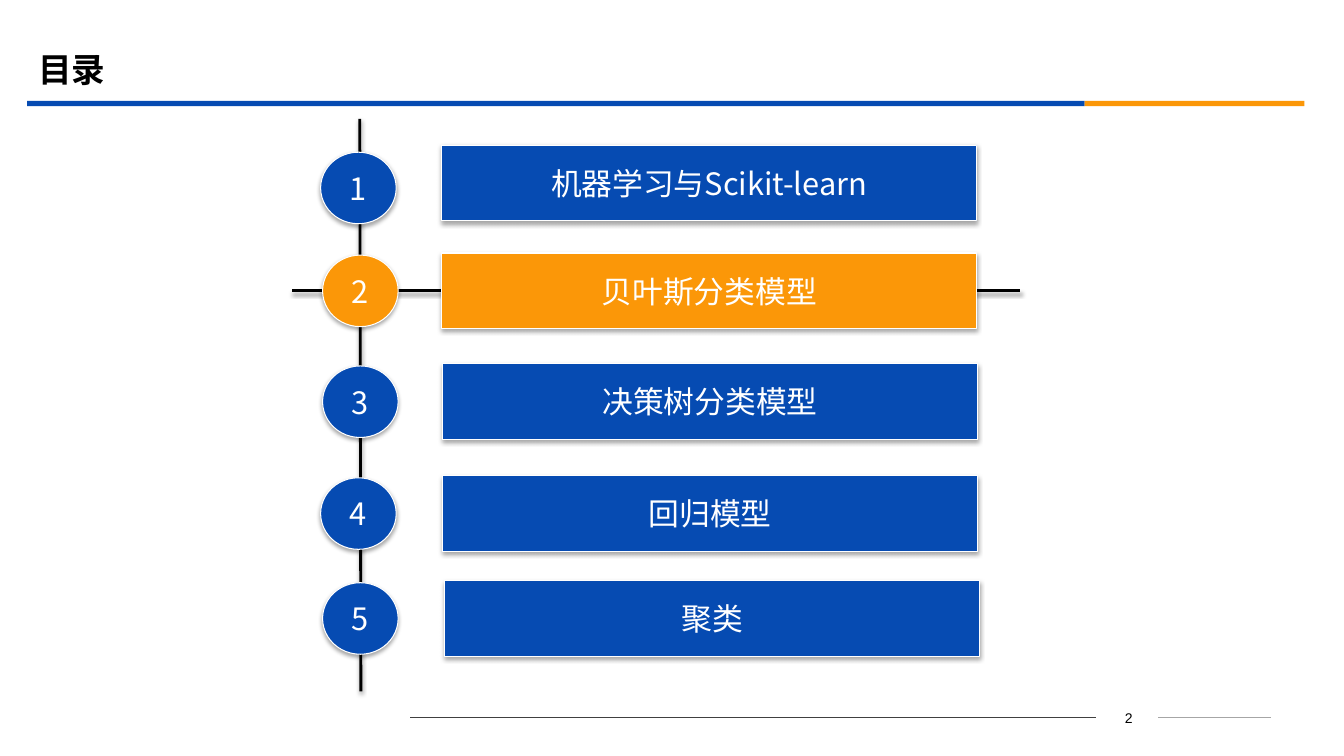
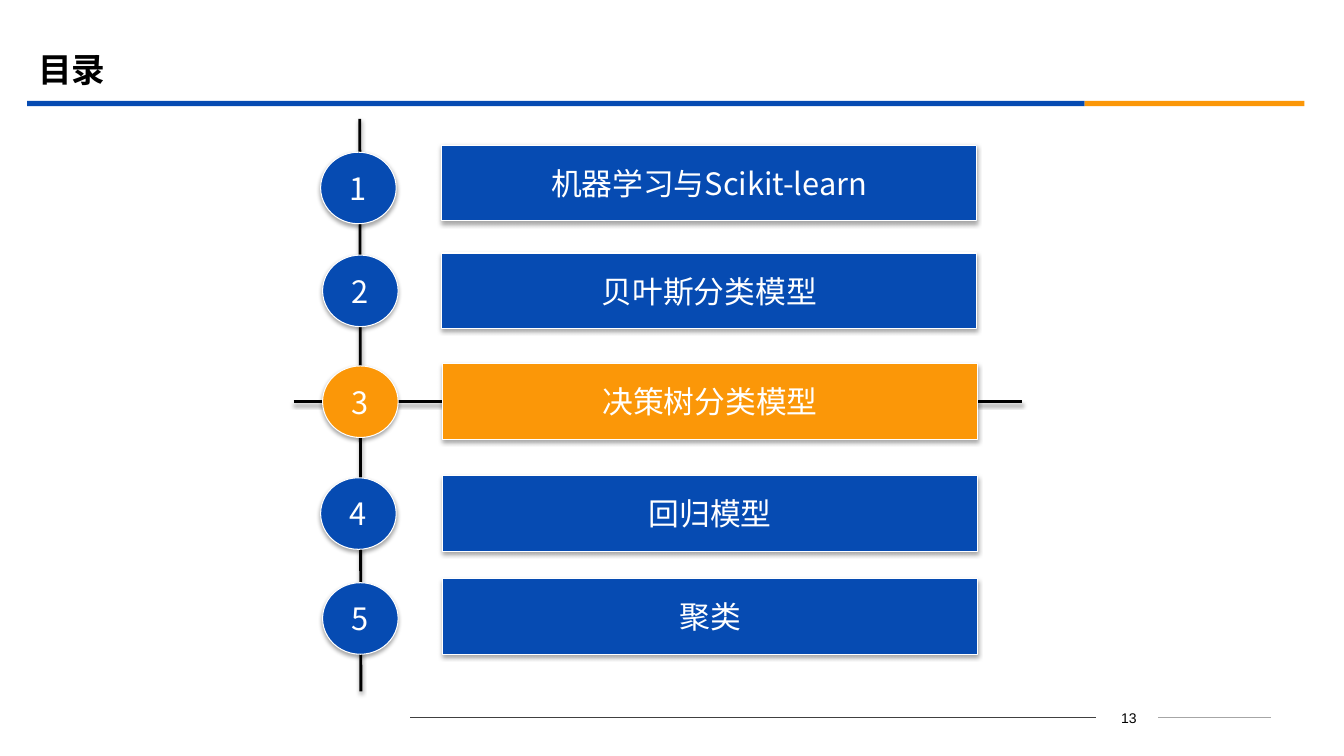
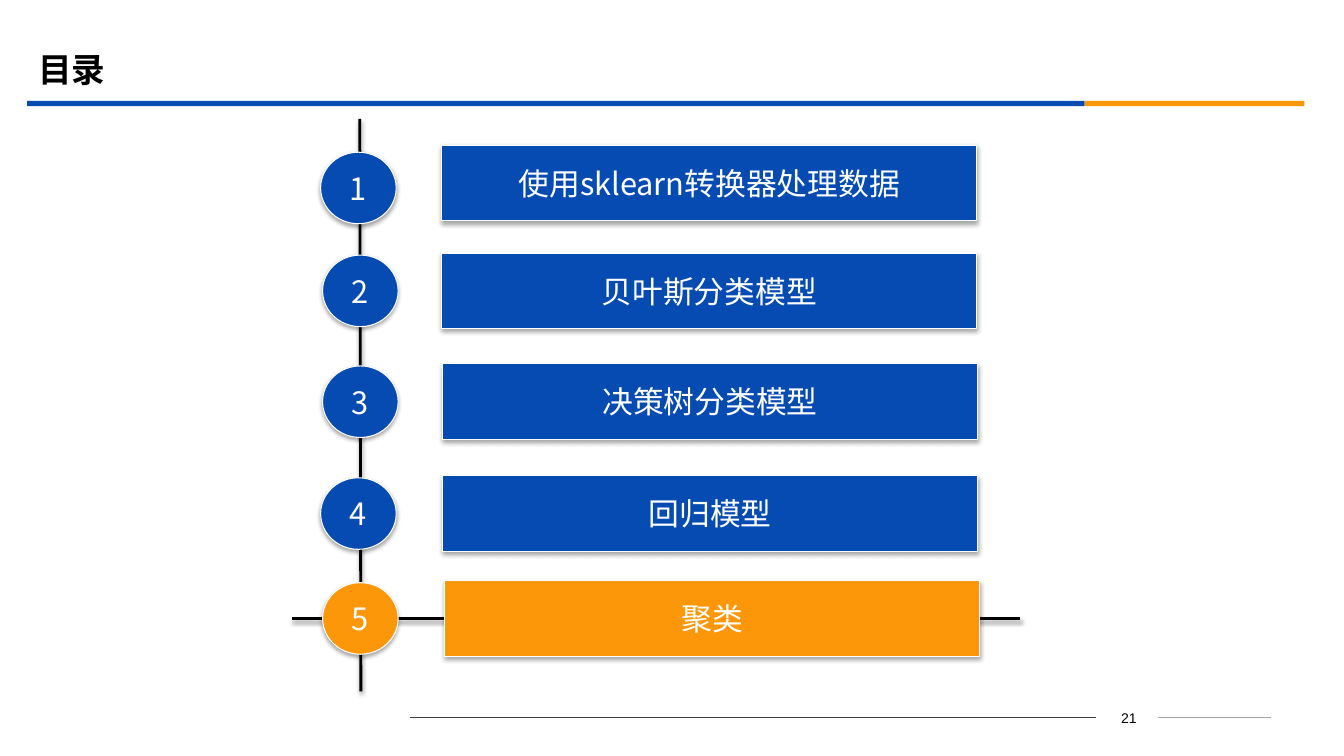
from lxml import etree
from pptx import Presentation
from pptx.dml.color import RGBColor
from pptx.enum.shapes import MSO_CONNECTOR, MSO_SHAPE
from pptx.enum.text import MSO_ANCHOR, PP_ALIGN
from pptx.oxml.ns import qn
from pptx.util import Pt

STRAIGHT = MSO_CONNECTOR.STRAIGHT
RECTANGLE = MSO_SHAPE.RECTANGLE
OVAL = MSO_SHAPE.OVAL
BUTTON = MSO_SHAPE.ACTION_BUTTON_CUSTOM
CENTER = PP_ALIGN.CENTER
LEFT = PP_ALIGN.LEFT
MIDDLE = MSO_ANCHOR.MIDDLE

BLUE = RGBColor(0x06, 0x4B, 0xB2)
ORANGE = RGBColor(0xFB, 0x97, 0x08)
BLACK = RGBColor(0, 0, 0)
WHITE = RGBColor(0xFF, 0xFF, 0xFF)
DARK_GREY = RGBColor(0x40, 0x40, 0x40)
LIGHT_GREY = RGBColor(0xA6, 0xA6, 0xA6)
CJK_FONT = "Noto Sans CJK SC"

BADGE_WIDTH, BADGE_HEIGHT = 54, 51.1
BUTTON_WIDTH, BUTTON_HEIGHT = 382.3, 54
BADGE_LEFTS = [229, 230.4, 230.4, 229, 230.4]
BADGE_TOPS = [108.7, 182.2, 261.4, 341.3, 416.2]
BUTTON_SPOTS = [(315.4, 103.7), (315.4, 180.7), (316.1, 259.9), (316.1, 339.8)]
TOPICS = ["贝叶斯分类模型", "决策树分类模型", "回归模型", "聚类"]

AGENDAS = [
    (2, "机器学习与Scikit-learn", 2, 208.8, (317.5, 414.7)),
    (13, "机器学习与Scikit-learn", 3, 209.8, (316.1, 413.3)),
    (21, "使用sklearn转换器处理数据", 5, 208.8, (317.5, 414.7)),
]


def set_shadow(item, distance=0, opacity=0):
    effects = etree.SubElement(item._element.spPr, qn("a:effectLst"))
    if opacity:
        shadow = etree.SubElement(
            effects, qn("a:outerShdw"), blurRad=str(Pt(3.1)), dist=str(Pt(distance)),
            dir="5400000", rotWithShape="0")
        color = etree.SubElement(shadow, qn("a:srgbClr"), val=str(BLACK))
        etree.SubElement(color, qn("a:alpha"), val=str(opacity * 1000))


def write(frame, text, size, color, font, align=CENTER, bold=False):
    frame.vertical_anchor = MIDDLE
    paragraph = frame.paragraphs[0]
    paragraph.alignment = align
    run = paragraph.add_run()
    run.text = text
    run.font.size = Pt(size)
    run.font.bold = bold
    run.font.name = font
    run.font.color.rgb = color
    etree.SubElement(run.font._element, qn("a:ea"), typeface=CJK_FONT)


deck = Presentation()
deck.slide_width, deck.slide_height = Pt(960), Pt(540)
layout = deck.slide_layouts[5]
slides = [deck.slides.add_slide(layout) for _ in AGENDAS]

shared = slides[0].shapes
for left, width, color in [(19.4, 755.3, BLUE), (774.7, 157, ORANGE)]:
    band = shared.add_shape(RECTANGLE, Pt(left), Pt(72), Pt(width), Pt(3.8))
    band.fill.solid()
    band.fill.fore_color.rgb = color
    band.line.fill.background()
    band.shadow.inherit = False
    layout.shapes.element.append(band._element)
for start, end, color in [(293, 782.6, DARK_GREY), (827.3, 907.9, LIGHT_GREY)]:
    rule = shared.add_connector(STRAIGHT, Pt(start), Pt(512.6), Pt(end), Pt(512.6))
    rule.line.color.rgb = color
    rule.line.width = Pt(0.75)
    set_shadow(rule)
    layout.shapes.element.append(rule._element)

for slide, (page, first_topic, current, track_start, last_spot) in zip(slides, AGENDAS):
    shapes = slide.shapes
    title = shapes.title
    title.left, title.top, title.width, title.height = Pt(20.2), Pt(28.1), Pt(864), Pt(41.8)
    write(title.text_frame, "目录", 24, BLACK, "Montserrat", LEFT, True)

    page_number = shapes.add_textbox(Pt(784), Pt(504), Pt(44.6), Pt(18))
    page_number.text_frame.word_wrap = True
    write(page_number.text_frame, str(page), 10, BLACK, "Arial")

    track_y = BADGE_TOPS[current - 1] + BADGE_HEIGHT / 2
    for x1, y1, x2, y2 in [(257, 85, 257.8, 493.9),
                           (track_start, track_y, track_start + 520, track_y)]:
        track = shapes.add_connector(STRAIGHT, Pt(x1), Pt(y1), Pt(x2), Pt(y2))
        track.line.color.rgb = BLACK
        track.line.width = Pt(2)
        set_shadow(track, 1.6, 38)

    rows = zip([first_topic] + TOPICS, BADGE_LEFTS, BADGE_TOPS, BUTTON_SPOTS + [last_spot])
    for number, (topic, badge_left, badge_top, (left, top)) in enumerate(rows, 1):
        for kind, x, y, width, height, text in [
            (BUTTON, left, top, BUTTON_WIDTH, BUTTON_HEIGHT, topic),
            (OVAL, badge_left, badge_top, BADGE_WIDTH, BADGE_HEIGHT, str(number)),
        ]:
            entry = shapes.add_shape(kind, Pt(x), Pt(y), Pt(width), Pt(height))
            entry.fill.solid()
            entry.fill.fore_color.rgb = ORANGE if number == current else BLUE
            entry.line.color.rgb = WHITE
            entry.line.width = Pt(0.75)
            set_shadow(entry, 1.8, 35)
            entry.text_frame.word_wrap = False
            write(entry.text_frame, text, 22, WHITE, CJK_FONT)

deck.save("out.pptx")
